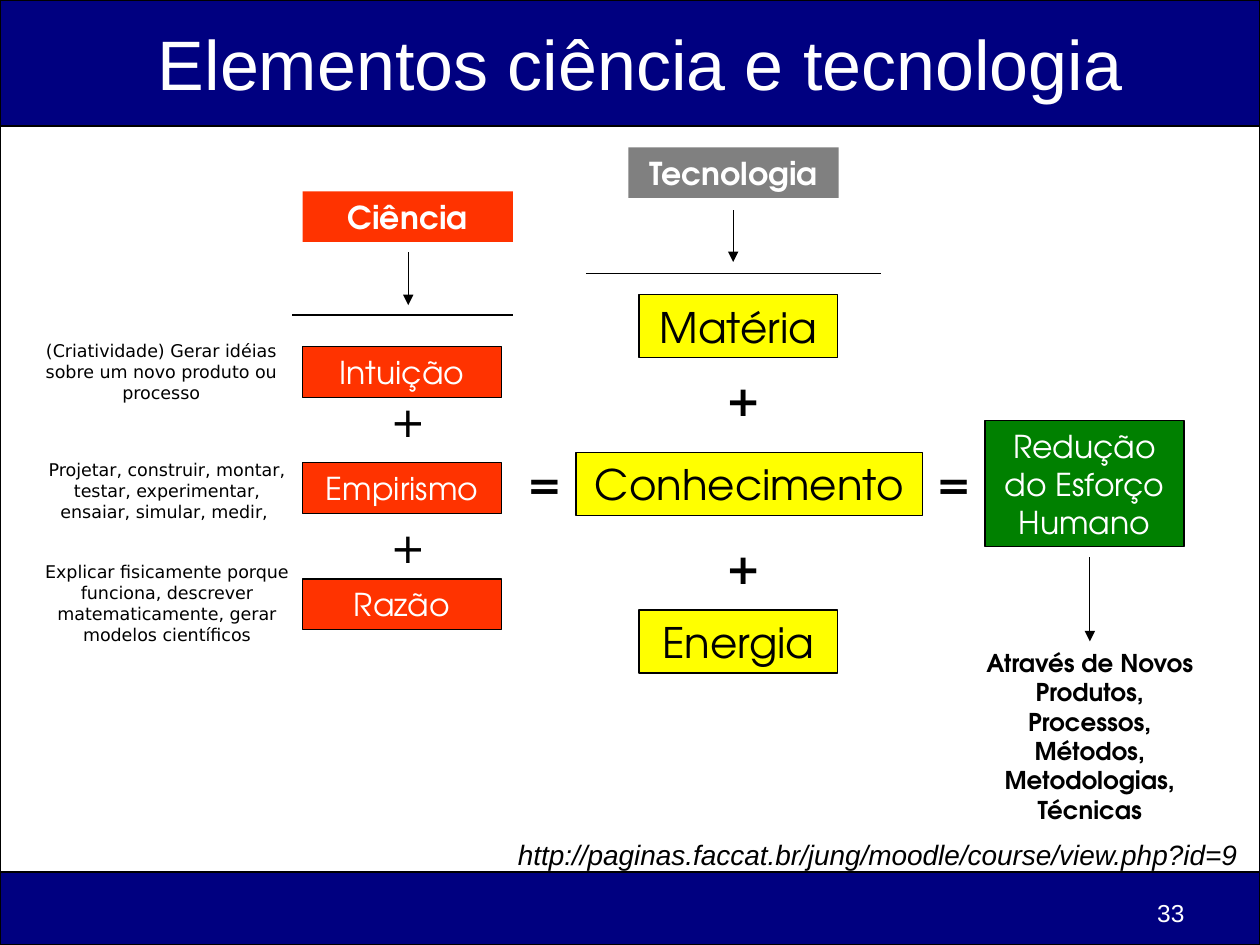
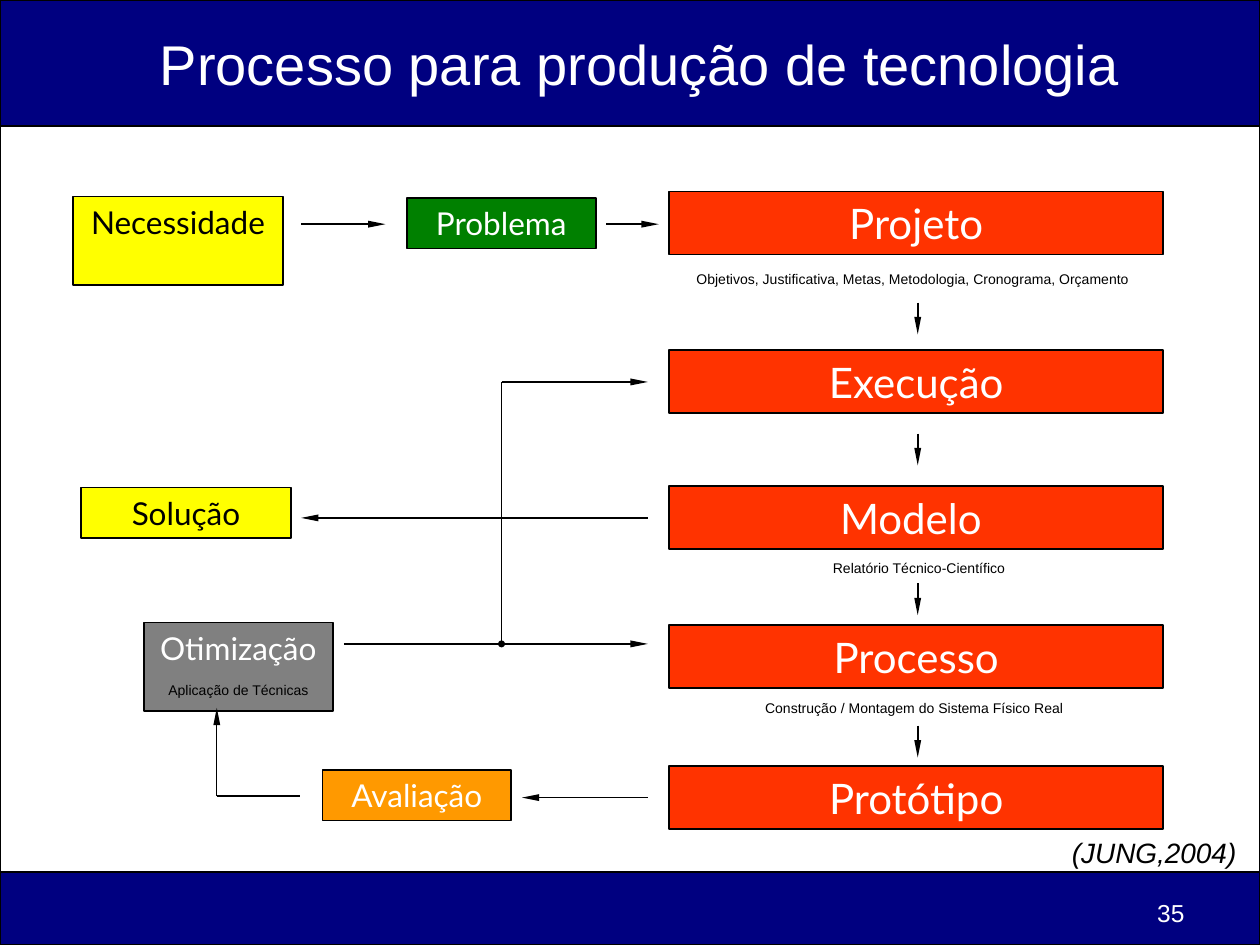
"""Builds two slides on the elements of science and how technology is made."""
import lxml.etree
import pptx
import pptx.dml.color
import pptx.enum.shapes
import pptx.enum.text
import pptx.oxml.ns
import pptx.util

Cm, Pt = pptx.util.Cm, pptx.util.Pt
RGBColor = pptx.dml.color.RGBColor
Align = pptx.enum.text.PP_ALIGN
Anchor = pptx.enum.text.MSO_ANCHOR
RECT = pptx.enum.shapes.MSO_SHAPE.RECTANGLE
STRAIGHT = pptx.enum.shapes.MSO_CONNECTOR.STRAIGHT

BLACK = RGBColor(0x00, 0x00, 0x00)
WHITE = RGBColor(0xFF, 0xFF, 0xFF)
NAVY = RGBColor(0x00, 0x00, 0x80)
LILAC = RGBColor(0xE4, 0xE5, 0xFE)
YELLOW = RGBColor(0xFF, 0xFF, 0x00)
RED = RGBColor(0xFF, 0x33, 0x00)
GREEN = RGBColor(0x00, 0x80, 0x00)
GREY = RGBColor(0x80, 0x80, 0x80)
ORANGE = RGBColor(0xFF, 0x99, 0x00)

GOTHIC, SANS, LATO, ARIAL = "TeX Gyre Adventor", "DejaVu Sans", "Lato", "Arial"

WIDE, HIGH = 25.4, 19.05
BANDS = [(2.54, 15.04, WHITE), (0, 2.54, NAVY), (17.58, 1.47, NAVY)]

FACTORS = [
    ("Intuição", "(Criatividade) Gerar idéias sobre um novo produto ou processo",
     (0.61, 6.73, 5.28, 1.52)),
    ("Empirismo", "Projetar, construir, montar, testar, experimentar, ensaiar, simular, medir, ",
     (0.61, 9.12, 5.51, 1.52)),
    ("Razão", "Explicar fisicamente porque funciona, descrever matematicamente, "
     "gerar modelos científicos", (0.61, 11.18, 5.51, 1.96)),
]
INPUTS = [("Matéria", 12.88, 4.01), ("Conhecimento", 11.61, 6.99), ("Energia", 12.88, 4.01)]
HEADS = [("Ciência", 6.1, 3.86, RED), ("Tecnologia", 12.67, 2.97, GREY)]
SIGNS = [
    ("+", 7.59, 7.85, False), ("+", 7.59, 10.39, False),
    ("+", 14.35, 7.42, True), ("+", 14.35, 10.8, True),
    ("=", 10.34, 9.12, True), ("=", 18.59, 9.12, True),
]
RULES = [(5.89, 6.35, 10.34, 6.35), (11.81, 5.51, 17.75, 5.51)]
DROPS = [(8.23, 5.08, 8.23, 6.15), (14.78, 4.24, 14.78, 5.28), (21.97, 11.23, 21.97, 12.93)]

STAGES = [("Projeto", 3.86), ("Execução", 7.06), ("Modelo ", 9.8),
          ("Processo", 12.6), ("Protótipo", 15.44)]
STEPS = [
    ("Necessidade", (1.47, 3.96, 4.24, 1.78), YELLOW, BLACK),
    ("Problema", (8.2, 3.99, 3.81, 1.02), GREEN, WHITE),
    ("Solução", (1.63, 9.83, 4.24, 1.02), YELLOW, BLACK),
    ("Otimização", (2.9, 12.55, 3.81, 1.78), GREY, WHITE),
    ("Avaliação", (6.5, 15.52, 3.81, 1.02), ORANGE, WHITE),
]
NOTES = [
    ("Objetivos, Justificativa, Metas, Metodologia, Cronograma, Orçamento",
     13.79, 5.33, 9.35, Align.LEFT),
    ("Relatório Técnico-Científico", 16.54, 11.15, 4.11, Align.LEFT),
    ("Construção / Montagem do Sistema Físico Real", 14.88, 13.97, 7.11, Align.CENTER),
    ("Aplicação de Técnicas", 3.07, 13.61, 3.48, Align.CENTER),
]
FLOWS = [
    (6.07, 4.52, 7.77, 4.52), (12.22, 4.52, 13.28, 4.52),
    (13.06, 10.44, 6.07, 10.44), (13.06, 16.08, 10.52, 16.08),
    (6.93, 12.98, 13.06, 12.98), (10.11, 7.7, 13.06, 7.7),
]
FALLS = [6.1, 8.74, 11.76, 14.63]
SLIM = {"w": "sm", "len": "lg"}
DOT = {"w": "sm", "len": "sm"}


def apply(target, look):
    """Set each value of a format dict on the target."""
    for name, value in look.items():
        setattr(target, name, value)


def write(shape, text, look, align=Align.CENTER, wrap=True, anchor=Anchor.TOP):
    """Put one formatted paragraph in a shape."""
    frame = shape.text_frame
    apply(frame, {"word_wrap": wrap, "vertical_anchor": anchor,
                  "auto_size": pptx.enum.text.MSO_AUTO_SIZE.NONE,
                  "margin_left": Cm(0.25), "margin_right": Cm(0.25),
                  "margin_top": Cm(0.13), "margin_bottom": Cm(0.13)})
    para = frame.paragraphs[0]
    para.alignment = align
    run = para.add_run()
    run.text = text
    look = dict(look)
    run.font.color.rgb = look.pop("ink")
    apply(run.font, look)


def font(name, size, ink=BLACK, **more):
    """Return the format dict of a piece of text."""
    return {"name": name, "size": Pt(size), "ink": ink, **more}


def block(slide, spot, fill, edge=1):
    """Add a filled rectangle, outlined when edge is above zero."""
    shape = slide.shapes.add_shape(RECT, *map(Cm, spot))
    shape.shadow.inherit = False
    shape.fill.solid()
    shape.fill.fore_color.rgb = fill
    if edge:
        shape.line.color.rgb = BLACK
        shape.line.width = Pt(edge)
    else:
        shape.line.fill.background()
    return shape


def label(slide, text, spot, look, **more):
    """Add a text box."""
    write(slide.shapes.add_textbox(*map(Cm, spot)), text, look, **more)


def link(slide, ends, width=1, **tips):
    """Draw a straight line; tips map headEnd or tailEnd to (type, size)."""
    line = slide.shapes.add_connector(STRAIGHT, *map(Cm, ends))
    line.line.color.rgb = BLACK
    line.line.width = Pt(width)
    qn = pptx.oxml.ns.qn
    props = line.element.spPr
    for tag, (kind, size) in tips.items():
        lxml.etree.SubElement(props.find(qn("a:ln")), qn("a:" + tag), type=kind, **size)
    lxml.etree.SubElement(props, qn("a:effectLst"))


def arrow(slide, ends, width=1, size=SLIM):
    """Draw a line with a triangle at its end."""
    link(slide, ends, width, tailEnd=("triangle", size))


def start(deck, title, size, number, source, spot):
    """Add a slide with title, source and page number."""
    slide = deck.slides.add_slide(deck.slide_layouts[5])
    head = slide.shapes.title
    apply(head, dict(zip(("left", "top", "width", "height"), map(Cm, (2.74, 0, 20.32, 2.54)))))
    write(head, title, font(ARIAL, size, WHITE), anchor=Anchor.MIDDLE)
    label(slide, source, spot, font(ARIAL, 16, italic=True), align=Align.LEFT, wrap=False)
    label(slide, number, (18.21, 17.98, 5.92, 0.69), font(ARIAL, 14, WHITE), align=Align.RIGHT)
    return slide


def dress(slide):
    """Give the slide's layout its background and bands."""
    layout = slide.slide_layout
    layout.background.fill.solid()
    layout.background.fill.fore_color.rgb = LILAC
    for rank, (top, high, fill) in enumerate(BANDS):
        band = block(slide, (0, top, WIDE, high), fill).element
        band.xpath(".//p:cNvPr")[0].set("id", str(100 + rank))
        layout.shapes.element.insert(2 + rank, band)


def science(deck):
    """Build the slide on the elements of science and technology."""
    slide = start(deck, "Elementos ciência e tecnologia", 40, "33",
                  "http://paginas.faccat.br/jung/moodle/course/view.php?id=9",
                  (10.19, 16.76, 15.04, 0.94))
    for row, (name, left, wide) in enumerate(INPUTS):
        box = block(slide, (left, 5.94 + 3.18 * row, wide, 1.27), YELLOW, 0.75)
        write(box, name, font(GOTHIC, 24))
    for row, (name, note, spot) in enumerate(FACTORS):
        box = block(slide, (6.1, 6.99 + 2.34 * row, 4.01, 1.02), RED, 0.75)
        write(box, name, font(GOTHIC, 18, WHITE))
        label(slide, note, spot, font(SANS, 10))
    for name, left, top, fill in HEADS:
        box = block(slide, (left, top, 4.24, 1.02), fill, 0)
        write(box, name, font(GOTHIC, 18, WHITE, bold=True))
    for sign, left, top, bold in SIGNS:
        label(slide, sign, (left, top, 1.27, 1.27), font(SANS, 24, bold=bold))
    goal = block(slide, (19.86, 8.48, 4.01, 2.54), GREEN, 0.75)
    write(goal, "Redução do Esforço Humano", font(GOTHIC, 18, WHITE))
    label(slide, "Através de Novos Produtos, Processos, Métodos, Metodologias, Técnicas",
          (19.43, 12.93, 5.08, 3.81), font(GOTHIC, 14, bold=True))
    for ends in RULES:
        link(slide, ends, 0.75)
    for ends in DROPS:
        arrow(slide, ends, 0.75, {})


def process(deck):
    """Build the slide on the process that yields technology."""
    slide = start(deck, "Processo para produção de tecnologia", 32, "35",
                  "(JUNG,2004)", (21.36, 16.71, 3.81, 0.94))
    for name, top in STAGES:
        write(block(slide, (13.49, top, 9.96, 1.27), RED), name, font(LATO, 24, WHITE))
    for name, spot, fill, ink in STEPS:
        write(block(slide, spot, fill), name, font(LATO, 18, ink))
    for text, left, top, wide, align in NOTES:
        label(slide, text, (left, top, wide, 0.61), font(ARIAL, 8), align=align)
    for ends in FLOWS:
        arrow(slide, ends)
    for top in FALLS:
        arrow(slide, (18.5, top, 18.5, top + 0.64))
    link(slide, (10.11, 12.98, 10.11, 7.7), headEnd=("oval", DOT))
    link(slide, (4.37, 16.05, 6.05, 16.05))
    arrow(slide, (4.37, 16.05, 4.37, 14.27), 0.75)


def main():
    """Build and save the deck."""
    deck = pptx.Presentation()
    deck.slide_width, deck.slide_height = Cm(WIDE), Cm(HIGH)
    science(deck)
    process(deck)
    dress(deck.slides[0])
    deck.save("out.pptx")


if __name__ == "__main__":
    main()
